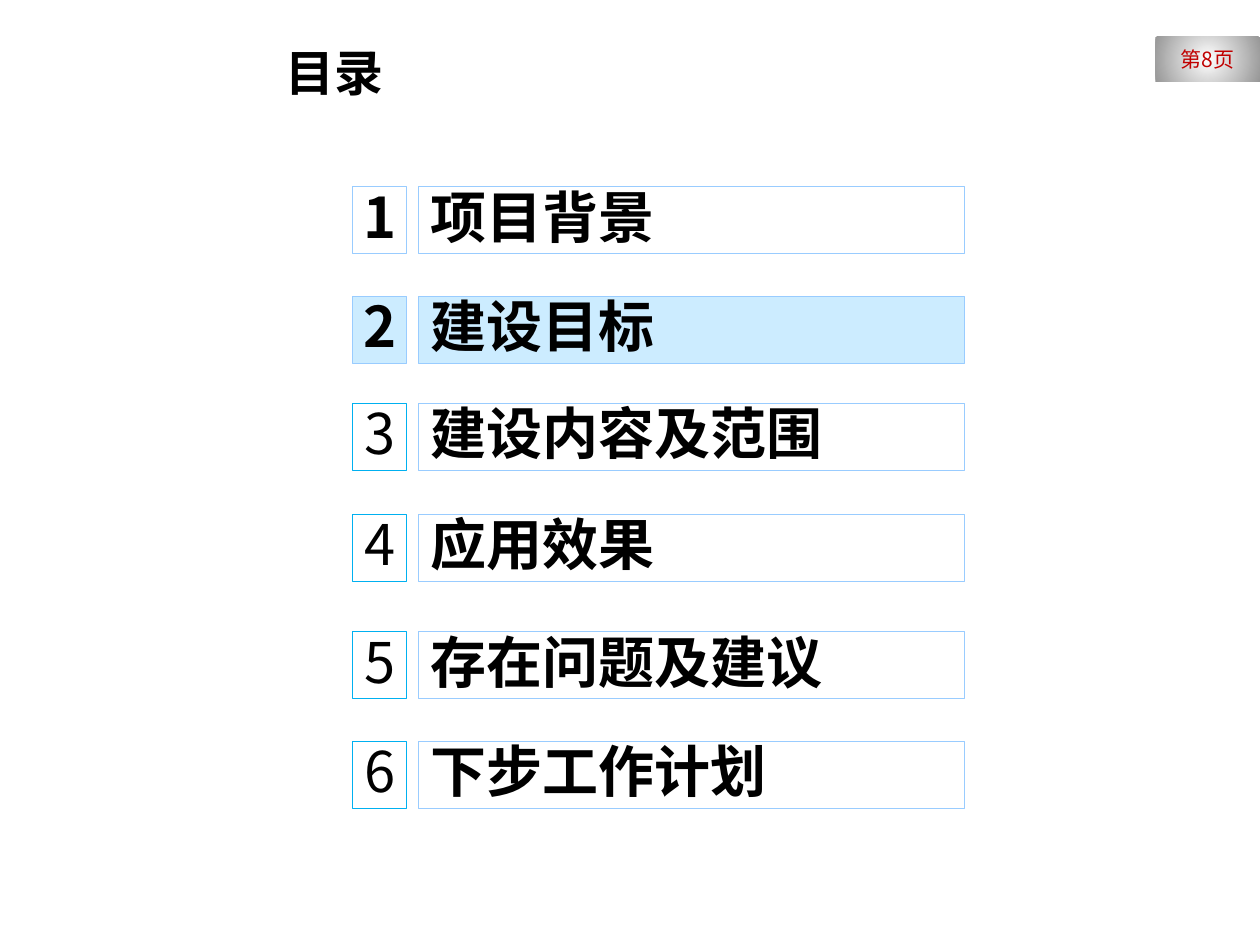
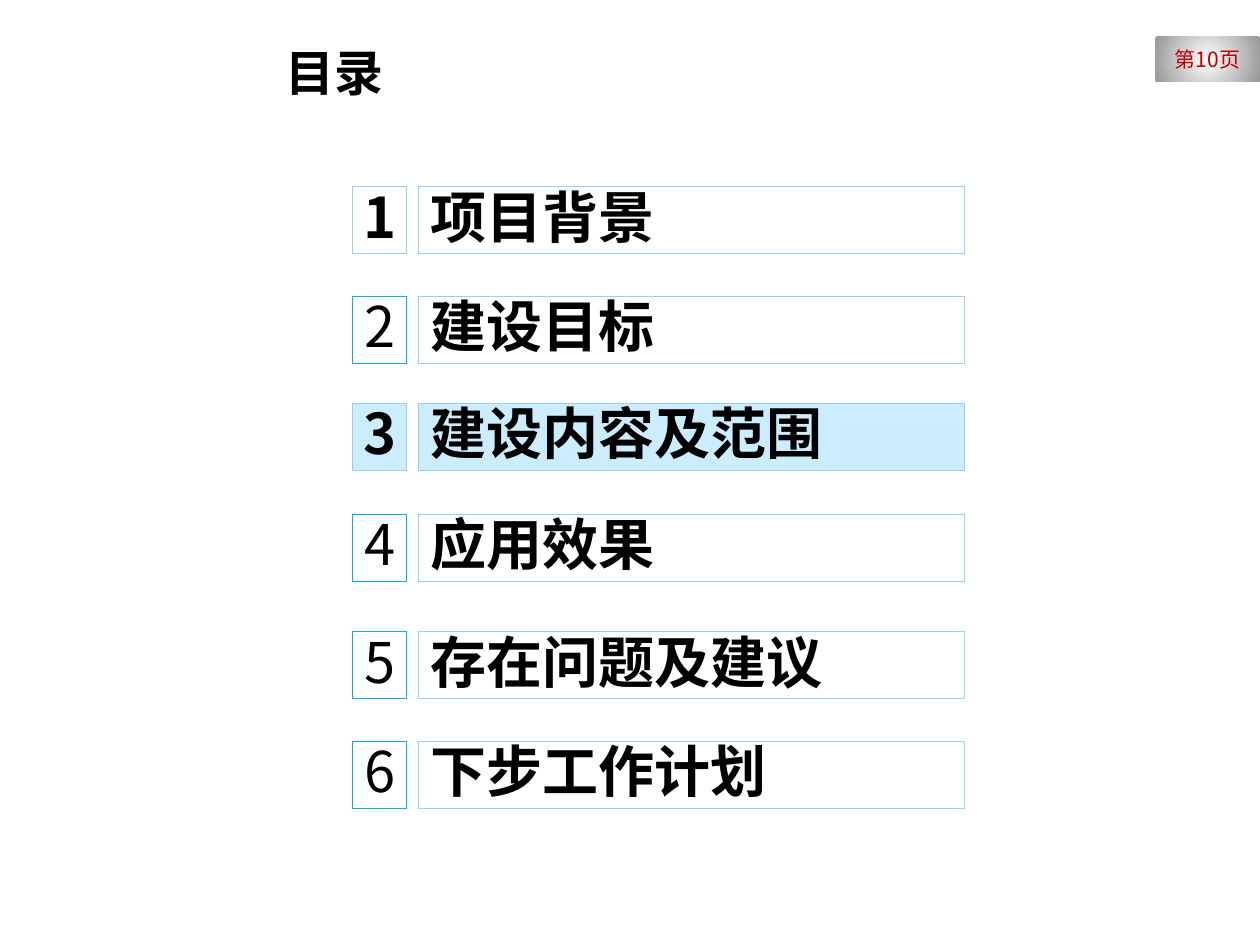
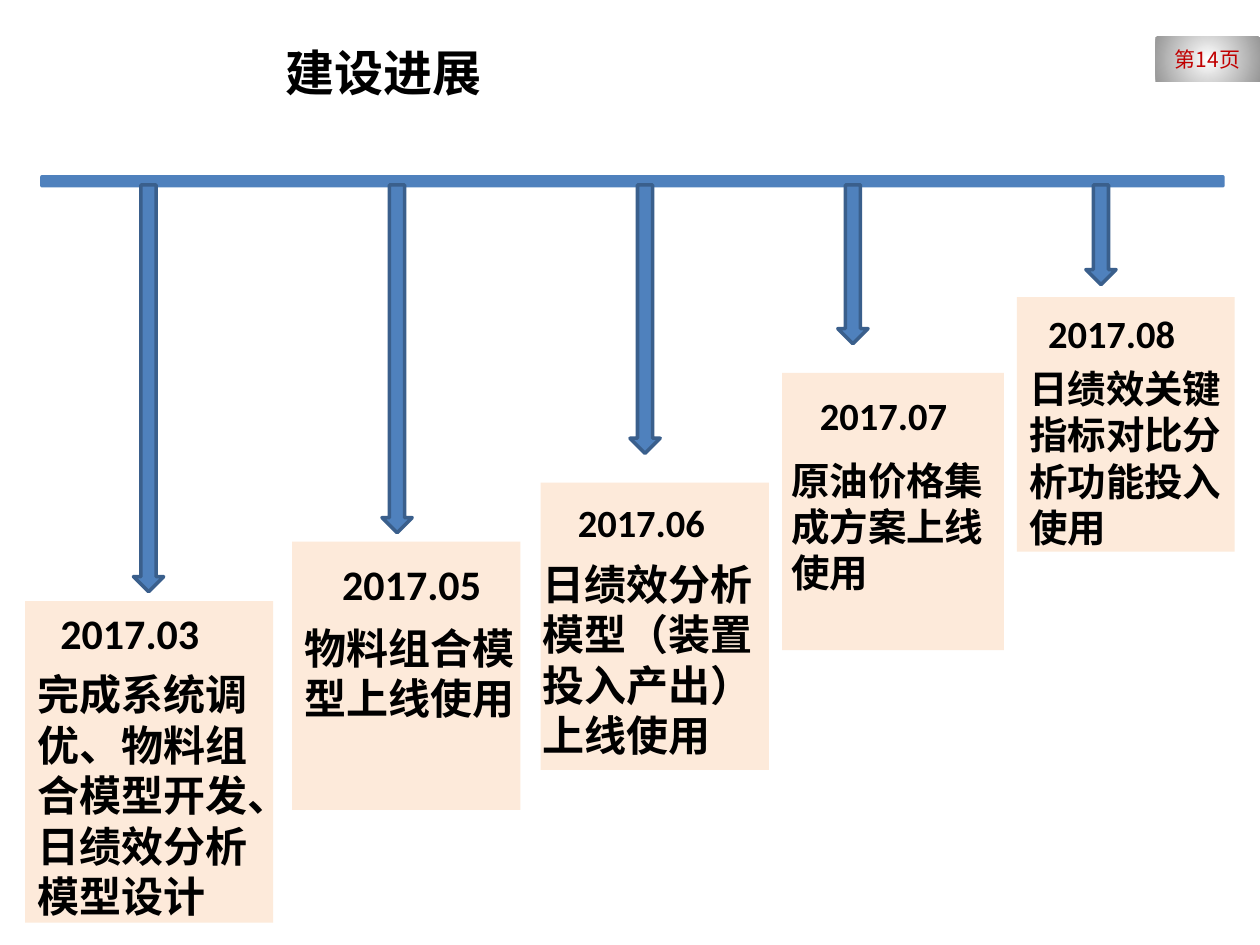
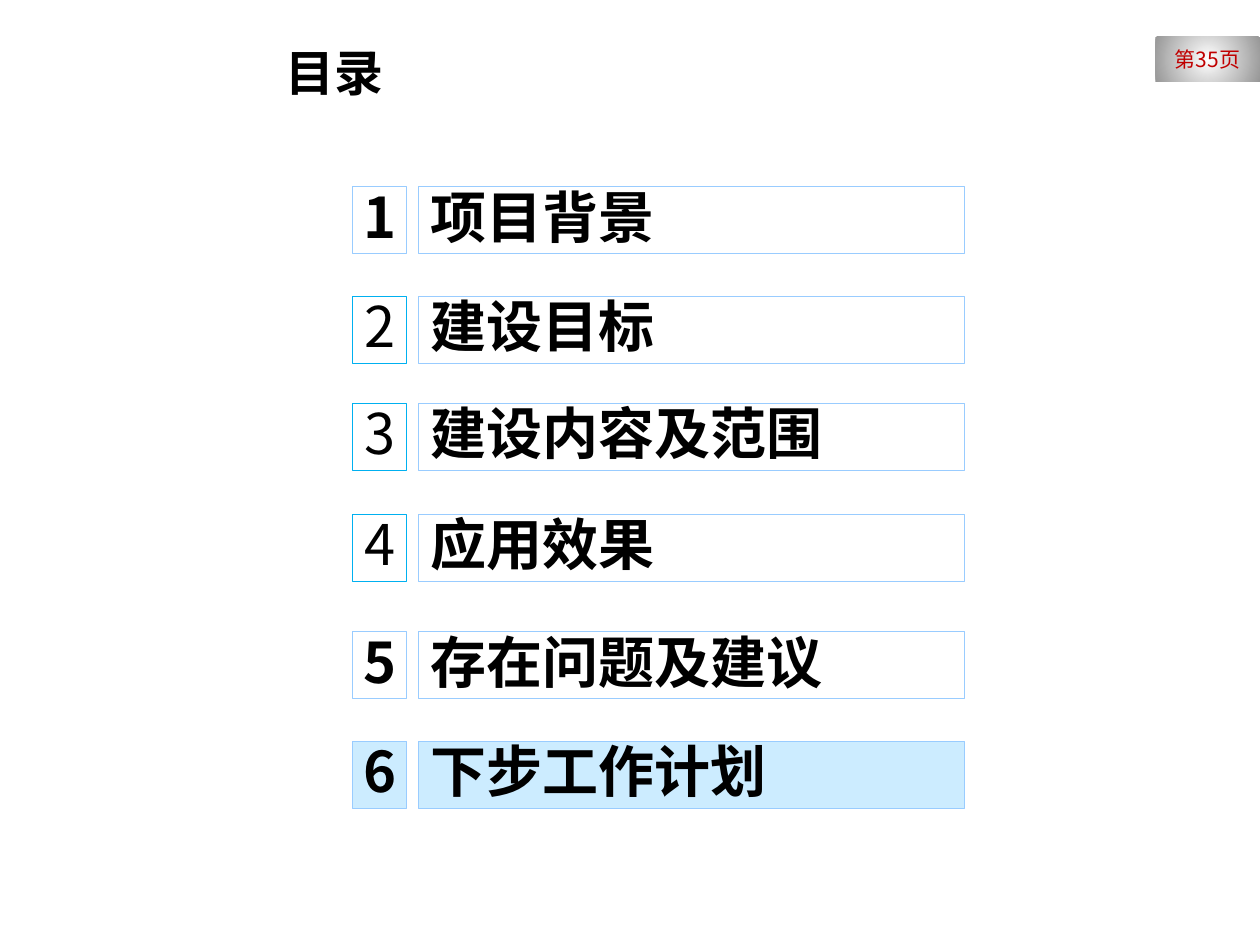
import pptx
import pptx.dml.color
import pptx.enum.shapes
import pptx.enum.text
import pptx.oxml
import pptx.oxml.ns
import pptx.util

Cm, Pt = pptx.util.Cm, pptx.util.Pt
RGB = pptx.dml.color.RGBColor.from_string
KIND = pptx.enum.shapes.MSO_SHAPE
ALIGN = pptx.enum.text.PP_ALIGN
ANCHOR = pptx.enum.text.MSO_ANCHOR
qn = pptx.oxml.ns.qn

# Shared look
HUES = {"ink": "000000", "page": "C00000", "edge": "99CCFF", "thin": "00B0F0",
        "pick": "CCECFF", "card": "FDEADA", "bar": "4F81BD", "rim": "3A5F8C",
        "light": "FFFFFF", "gray": "979797"}
CJK = "Noto Sans CJK SC"
HEAD = {"name": CJK, "size": Pt(28), "bold": True}
ITEM = {"name": CJK, "size": Pt(32), "bold": True}
PAGE = {"name": CJK, "size": Pt(12), "bold": False}
CARD = {"name": "Calibri", "bold": True}


def write(shape, text, form, hue="ink", align=ALIGN.LEFT, **frame):
    """Fill a shape with text, one paragraph a line."""
    box = shape.text_frame
    box.text = text
    for key, val in {"word_wrap": True, **frame}.items():
        setattr(box, key, val)
    for para in box.paragraphs:
        para.alignment = align
        for run in para.runs:
            for key, val in form.items():
                setattr(run.font, key, val)
            run.font.color.rgb = RGB(HUES[hue])
            east = pptx.oxml.parse_xml(
                f'<a:ea {pptx.oxml.ns.nsdecls("a")} typeface="{CJK}"/>')
            run.font._element.append(east)


def draw(slide, kind, spot, fill=None, line=None, width=0.25):
    """Add a flat preset shape; spot is left, top, width, height in cm."""
    shape = slide.shapes.add_shape(kind, *map(Cm, spot))
    shape.shadow.inherit = False
    if fill:
        shape.fill.solid()
        shape.fill.fore_color.rgb = RGB(HUES[fill])
    else:
        shape.fill.background()
    if line:
        shape.line.color.rgb = RGB(HUES[line])
        shape.line.width = Pt(width)
    else:
        shape.line.fill.background()
    return shape


# Agenda rows: top and text
rows = [(3.76, "项目背景"), (5.97, "建设目标"), (8.13, "建设内容及范围"),
        (10.36, "应用效果"), (12.73, "存在问题及建议"), (14.94, "下步工作计划")]

# Slides: title, page, picked row, rows with a bold number
deck = [("目录", 8, 2, {1, 2}), ("目录", 10, 3, {1, 3}),
        ("建设进展", 14, None, set()), ("目录", 35, 6, {1, 5, 6})]

# Milestones: date, date size, text, text size, card, text spot, date spot
steps = [
    ("2017.03", 24, "完成系统调优、物料组合模型开发、\n日绩效分析模型设计", 24,
     (0.51, 12.12, 5, 6.48), (0.51, 13.36, 5, 5.38), (0.97, 12.12, 3.33, 1.27)),
    ("2017.05", 24, "物料组合模型上线使用", 24,
     (5.89, 10.92, 4.6, 5.41), (5.89, 12.42, 4.8, 2.31), (6.65, 11.13, 3.33, 1.27)),
    ("2017.06", 22, "日绩效分析模型（装置投入产出）上线使用", 24,
     (10.9, 9.73, 4.6, 5.79), (10.69, 11.13, 4.8, 4.37), (11.4, 9.93, 3.1, 1.19)),
    ("2017.07", 22, "原油价格集\n成方案上线\n使用", 22,
     (15.77, 7.52, 4.47, 5.59), (15.7, 9.09, 5.21, 3.07), (16.28, 7.77, 3.1, 1.19)),
    ("2017.08", 22, "日绩效关键指标对比分析功能投入使用", 22,
     (20.5, 5.99, 4.39, 5.13), (20.5, 7.24, 4.9, 4.78), (20.88, 6.12, 3.23, 1.19)),
]
# Arrows: left and length
drops = [(2.69, 8.2), (7.7, 7.01), (12.7, 5.41), (16.89, 3.2), (21.89, 2.01)]

prs = pptx.Presentation()
prs.slide_width, prs.slide_height = Cm(25.4), Cm(19.05)

for title, page, pick, bold in deck:
    slide = prs.slides.add_slide(prs.slide_layouts[5])

    # Title
    head = slide.shapes.title
    head.left, head.top, head.width, head.height = map(Cm, (5.51, 0.76, 17.6, 1.37))
    write(head, title, HEAD, vertical_anchor=ANCHOR.MIDDLE)

    # Page badge with a radial gradient
    badge = draw(slide, KIND.RECTANGLE, (23.29, 0.74, 2.11, 0.91))
    badge.fill.gradient()
    for stop, hue in zip(badge.fill.gradient_stops, ("light", "gray")):
        stop.color.rgb = RGB(HUES[hue])
    for stop, place in zip(badge.fill.gradient_stops, (0, 1)):
        stop.position = place
    lin = badge._element.spPr.find(".//" + qn("a:lin"))
    lin.getparent().replace(lin, pptx.oxml.parse_xml(
        f'<a:path {pptx.oxml.ns.nsdecls("a")} path="circle">'
        '<a:fillToRect l="50000" t="50000" r="50000" b="50000"/></a:path>'))
    write(badge, f"第{page}页", PAGE, "page", ALIGN.CENTER, vertical_anchor=ANCHOR.TOP,
          margin_top=Cm(0.2), margin_bottom=Cm(0.2))

    # Agenda
    if pick:
        for num, (top, text) in enumerate(rows, 1):
            fill = "pick" if num == pick else None
            strong = num in bold
            tile = draw(slide, KIND.RECTANGLE, (7.11, top, 1.09, 1.35), fill,
                        "edge" if strong else "thin")
            write(tile, str(num), {**ITEM, "bold": strong}, align=ALIGN.CENTER,
                  word_wrap=False, vertical_anchor=ANCHOR.MIDDLE)
            label = draw(slide, KIND.RECTANGLE, (8.43, top, 11, 1.35), fill, "edge")
            write(label, text, ITEM, vertical_anchor=ANCHOR.MIDDLE)
            for shape in (tile, label):
                shape.text_frame.paragraphs[0].line_spacing = 0.9
        continue

    # Timeline bar, cards and arrows
    draw(slide, KIND.ROUNDED_RECTANGLE, (0.81, 3.53, 23.88, 0.25), "bar")
    for date, big, text, size, card, body, spot in steps:
        draw(slide, KIND.RECTANGLE, card, "card")
        note = slide.shapes.add_textbox(*map(Cm, body))
        write(note, text, {**CARD, "size": Pt(size)})
        stamp = slide.shapes.add_textbox(*map(Cm, spot))
        write(stamp, date, {**CARD, "size": Pt(big)}, word_wrap=False)
    for left, long in drops:
        draw(slide, KIND.DOWN_ARROW, (left, 3.73, 0.61, long), "bar", "rim", 2)

prs.save("out.pptx")
